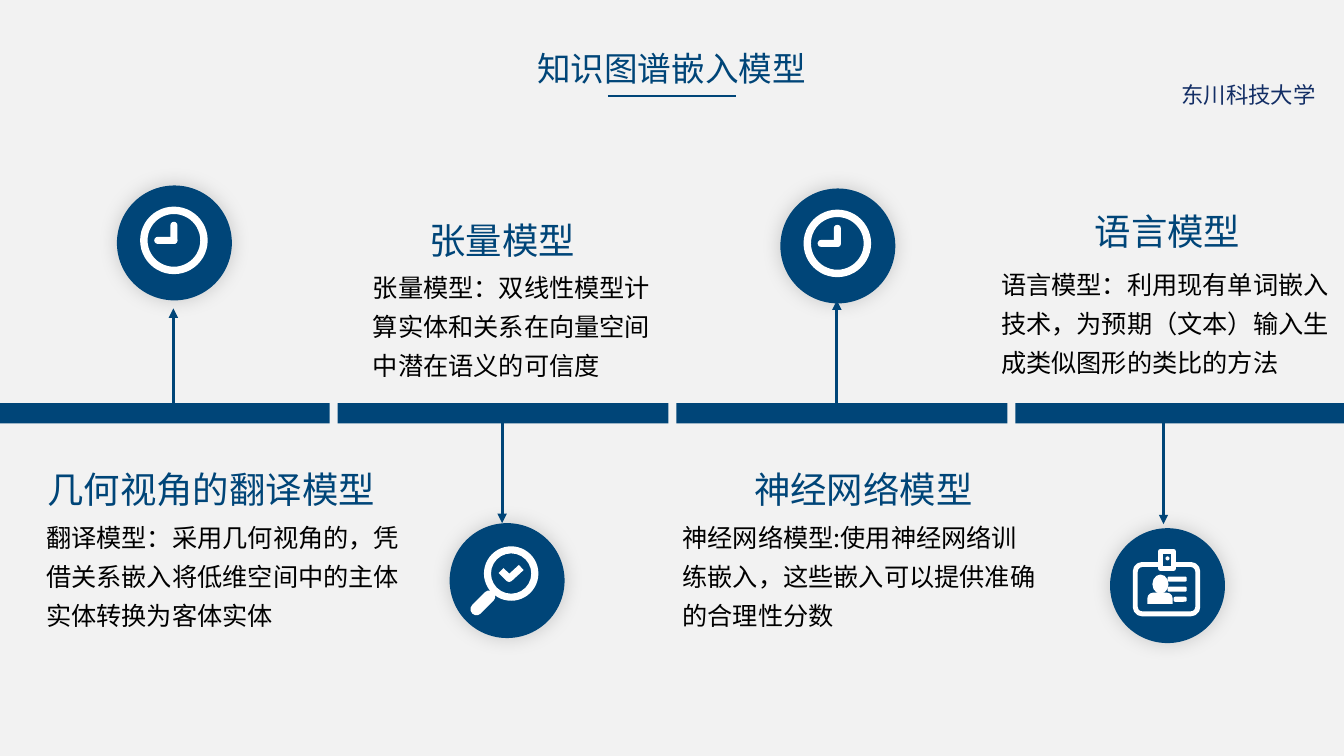
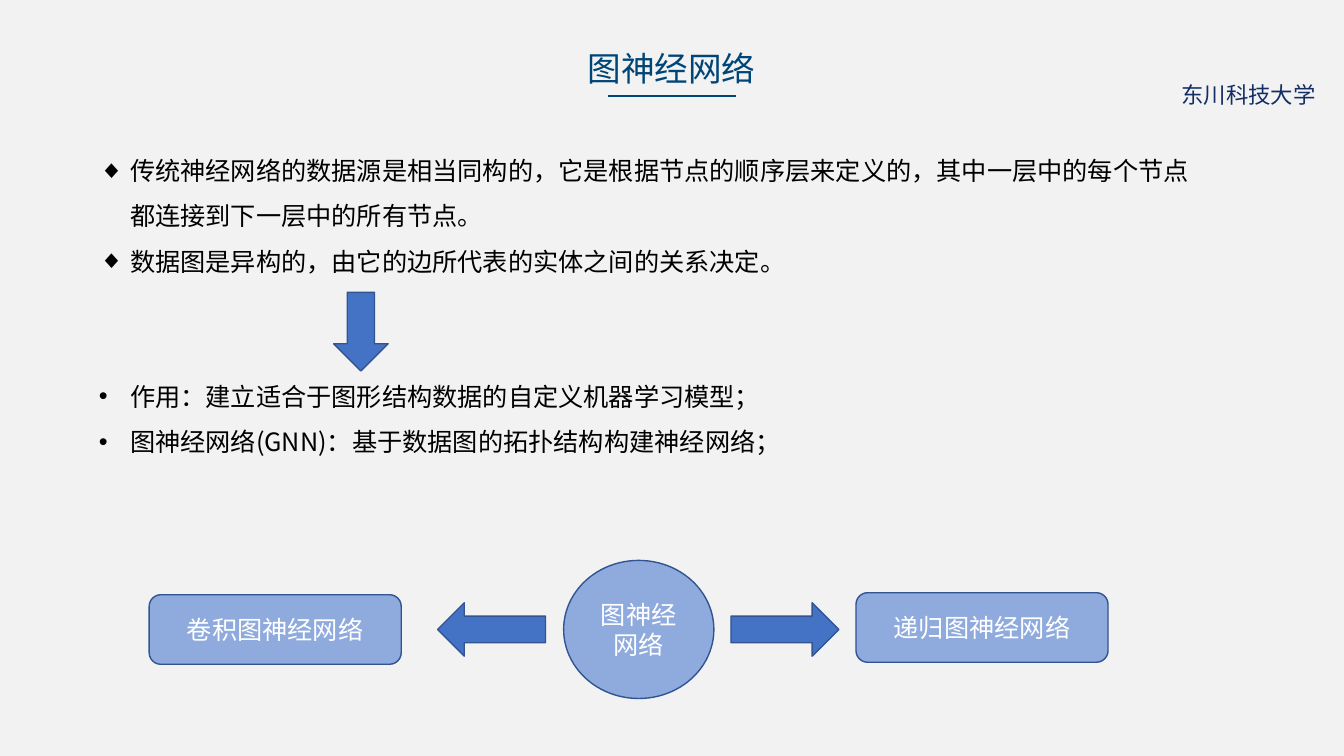
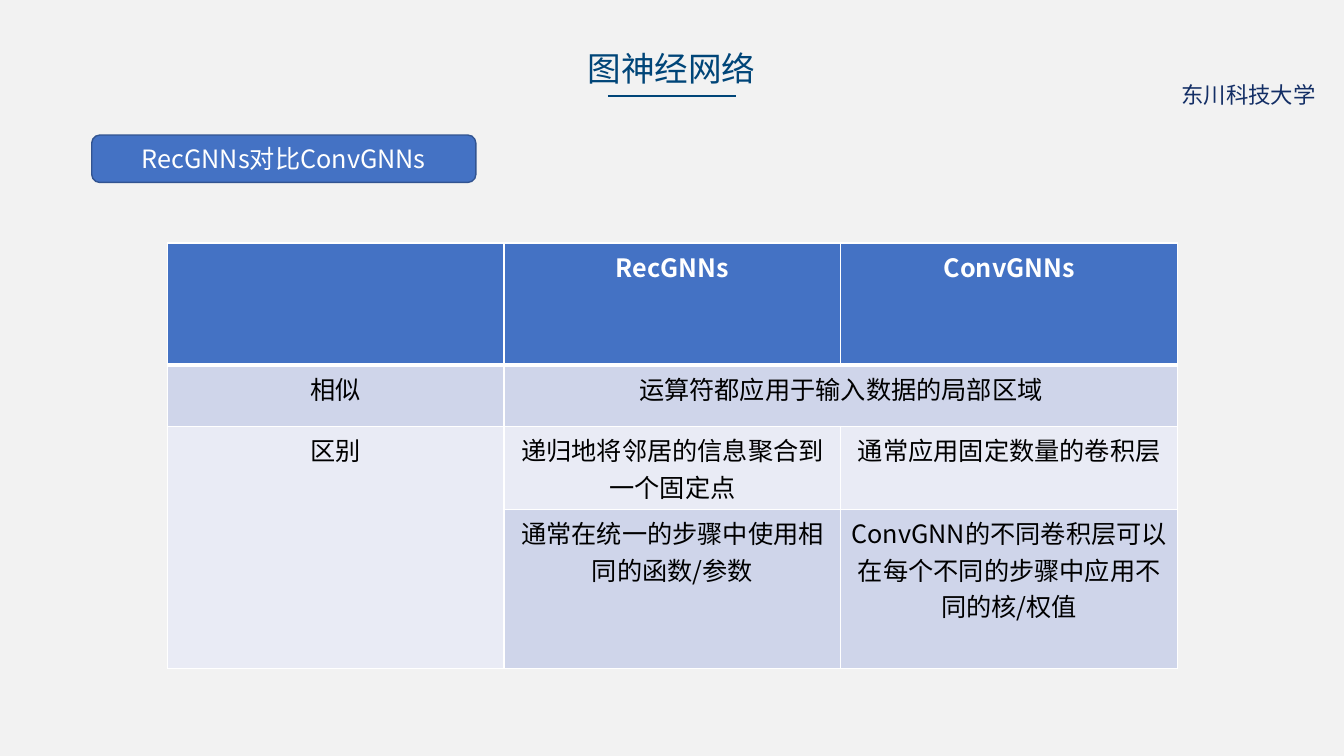
"""Build three slides on knowledge graph embedding and graph neural networks."""
from lxml import etree
from pptx import Presentation
from pptx.dml.color import RGBColor
from pptx.enum.shapes import MSO_CONNECTOR, MSO_SHAPE
from pptx.enum.text import MSO_ANCHOR, MSO_AUTO_SIZE, PP_ALIGN
from pptx.oxml.ns import qn
from pptx.util import Inches, Pt

OVAL, RECT, ROUND = MSO_SHAPE.OVAL, MSO_SHAPE.RECTANGLE, MSO_SHAPE.ROUNDED_RECTANGLE
RING, BUST = MSO_SHAPE.DONUT, MSO_SHAPE.ROUND_2_SAME_RECTANGLE
DOWN, LEFT, RIGHT = MSO_SHAPE.DOWN_ARROW, MSO_SHAPE.LEFT_ARROW, MSO_SHAPE.RIGHT_ARROW
STRAIGHT = MSO_CONNECTOR.STRAIGHT
START, MID = PP_ALIGN.LEFT, PP_ALIGN.CENTER
TOP, MIDDLE = MSO_ANCHOR.TOP, MSO_ANCHOR.MIDDLE
FIXED = MSO_AUTO_SIZE.NONE

NAVY = RGBColor(0x00, 0x45, 0x78)
INK = RGBColor(0x13, 0x2E, 0x65)
PAPER = RGBColor(0xF2, 0xF2, 0xF2)
WHITE = RGBColor(0xFF, 0xFF, 0xFF)
BLACK = RGBColor(0x00, 0x00, 0x00)
BLUE = RGBColor(0x44, 0x72, 0xC4)
PALE = RGBColor(0x8F, 0xAA, 0xDC)
EDGE = RGBColor(0x32, 0x54, 0x91)
BAND = RGBColor(0xCF, 0xD5, 0xEA)
LIGHT = RGBColor(0xE9, 0xEB, 0xF5)

FONT = "Noto Sans CJK SC"
SCHOOL = "东川科技大学"
FRAME = {"word_wrap": True, "auto_size": FIXED, "vertical_anchor": TOP}
HEAD = {"size": 26, "color": NAVY, "line_spacing": 1.3}
NOTE = {"size": 18, "color": BLACK, "line_spacing": 1.3}
LIST = {"size": 18, "color": BLACK, "line_spacing": 1.5}
LABEL = {"size": 18, "color": WHITE, "alignment": MID}


def put(item, vals):
    """Set every attribute in vals on item."""
    for key, val in vals.items():
        setattr(item, key, val)


def sub(node, tag, **vals):
    """Add a child element with attributes."""
    return etree.SubElement(node, qn(tag), vals)


def area(at):
    """Turn inch numbers into lengths."""
    return [Inches(n) for n in at]


def write(frame, lines, size, color, bold=False, **para):
    """Fill a text frame with one formatted paragraph per line."""
    for i, line in enumerate(lines):
        par = frame.paragraphs[0] if i == 0 else frame.add_paragraph()
        put(par, {"space_before": Pt(0), **para})
        run = par.add_run()
        run.text = line
        put(run.font, {"name": FONT, "size": Pt(size), "bold": bold})
        run.font.color.rgb = color
        sub(run.font._element, "a:ea", typeface=FONT)


def label(slide, at, line, **style):
    """Add a text box."""
    frame = slide.shapes.add_textbox(*area(at)).text_frame
    put(frame, FRAME)
    write(frame, [line], **style)


def fit(holder, at, lines, **style):
    """Move a placeholder and fill it."""
    put(holder, dict(zip(("left", "top", "width", "height"), area(at))))
    put(holder.text_frame, FRAME)
    write(holder.text_frame, lines, **style)


def stroke(item, color, width):
    """Set the outline of a shape."""
    item.line.color.rgb = color
    item.line.width = Pt(width)


def shape(host, kind, at, fill, edge=None, width=1, adj=None, text=None):
    """Add a preset shape, with a centred label if given."""
    item = host.add_shape(kind, *area(at))
    item.shadow.inherit = False
    item.fill.solid()
    item.fill.fore_color.rgb = fill
    if edge is None:
        item.line.fill.background()
    else:
        stroke(item, edge, width)
    if adj is not None:
        item.adjustments[0] = adj
    if text:
        put(item.text_frame, {**FRAME, "vertical_anchor": MIDDLE})
        write(item.text_frame, [text], **LABEL)
    return item


def rule(slide, start, end, width, arrow=False):
    """Add a straight line, with an arrowhead if wanted."""
    item = slide.shapes.add_connector(STRAIGHT, *area(start + end))
    stroke(item, NAVY, width)
    if arrow:
        sub(item.line._get_or_add_ln(), "a:tailEnd", type="triangle")
    sub(item._element.spPr, "a:effectLst")


def bullets(slide, index, at, lines, mark):
    """Fill a body placeholder with a bulleted list."""
    holder = slide.placeholders[index]
    fit(holder, at, lines, **LIST)
    for par in holder.text_frame.paragraphs:
        props = par._p.get_or_add_pPr()
        props.set("marL", str(Inches(0.31)))
        props.set("indent", str(Inches(-0.31)))
        sub(props, "a:buChar", char=mark)


def disc(slide, x, y):
    """Add a group with a softly shadowed disc and return its shapes."""
    host = slide.shapes.add_group_shape().shapes
    item = shape(host, OVAL, (x, y, 1.14, 1.14), NAVY)
    glow = sub(item._element.spPr.find(qn("a:effectLst")), "a:outerShdw",
               blurRad=str(Pt(14)), dist="0", dir="2700000", algn="ctr", rotWithShape="0")
    sub(sub(glow, "a:srgbClr", val=str(BLACK)), "a:alpha", val="17000")
    return host


def clock(slide, x, y):
    """Draw a clock icon."""
    host = disc(slide, x, y)
    shape(host, RING, (x + 0.23, y + 0.21, 0.67, 0.67), WHITE, adj=0.11)
    shape(host, ROUND, (x + 0.53, y + 0.36, 0.07, 0.22), WHITE, adj=0.5)
    shape(host, ROUND, (x + 0.37, y + 0.51, 0.23, 0.07), WHITE, adj=0.5)


def lens(slide, x, y):
    """Draw a magnifier icon with a tick."""
    host = disc(slide, x, y)
    shape(host, RING, (x + 0.34, y + 0.23, 0.54, 0.54), WHITE, adj=0.13)
    shape(host, ROUND, (x + 0.18, y + 0.73, 0.3, 0.12), WHITE, adj=0.5).rotation = -45
    dots = [area((x + dx, y + dy)) for dx, dy in ((0.51, 0.47), (0.59, 0.55), (0.71, 0.44))]
    form = host.build_freeform(*dots[0])
    form.add_line_segments(dots[1:], close=False)
    tick = form.convert_to_shape()
    tick.shadow.inherit = False
    tick.fill.background()
    stroke(tick, WHITE, 5)


def badge(slide, x, y):
    """Draw an identity card icon."""
    host = disc(slide, x, y)
    shape(host, ROUND, (x + 0.25, y + 0.36, 0.62, 0.49), NAVY, WHITE, 3.5, 0.14)
    shape(host, RECT, (x + 0.5, y + 0.23, 0.13, 0.17), NAVY, WHITE, 3.5)
    shape(host, OVAL, (x + 0.55, y + 0.28, 0.04, 0.04), WHITE)
    shape(host, OVAL, (x + 0.42, y + 0.46, 0.16, 0.19), WHITE)
    shape(host, BUST, (x + 0.37, y + 0.64, 0.25, 0.11), WHITE, adj=0.5)
    for i, left in enumerate((0.57, 0.57, 0.63)):
        shape(host, ROUND, (x + left, y + 0.48 + 0.1 * i, 0.76 - left, 0.05), WHITE, adj=0.3)


def page(prs, layout, title):
    """Add a slide with the shared title, underline and school name."""
    slide = prs.slides.add_slide(prs.slide_layouts[layout])
    fit(slide.shapes.title, (3.95, 0.43, 5.42, 0.5), [title],
        size=24, color=NAVY, alignment=MID)
    rule(slide, (6.03, 0.95), (7.3, 0.95), 1.5)
    label(slide, (11.62, 0.76, 1.58, 0.37), SCHOOL, size=16, color=INK)
    return slide


def models(prs):
    """Build the timeline of embedding models."""
    slide = page(prs, 5, "知识图谱嵌入模型")
    shape(slide.shapes, RECT, (0, 4, 13.33, 0.2), NAVY)
    for i in range(3):
        shape(slide.shapes, RECT, (3.27 + 3.36 * i, 3.26, 0.08, 1.68), PAPER)
    stops = (
        (clock, (1.16, 1.84), (1.72, 4.12), 3.06,
         "几何视角的翻译模型", (0.37, 4.45, 4.13, 0.62), START,
         "翻译模型：采用几何视角的，凭借关系嵌入将低维空间中的主体实体转换为客体实体",
         (0.36, 5.04, 3.73, 1.24)),
        (lens, (4.46, 5.19), (4.98, 4.12), 5.19,
         "张量模型", (2.27, 1.98, 5.42, 0.61), MID,
         "张量模型：双线性模型计算实体和关系在向量空间中潜在语义的可信度",
         (3.6, 2.56, 3.06, 1.24)),
        (clock, (7.74, 1.87), (8.3, 4.05), 2.98,
         "神经网络模型", (6.5, 4.45, 4.13, 0.61), MID,
         "神经网络模型:使用神经网络训练嵌入，这些嵌入可以提供准确的合理性分数",
         (6.67, 5.04, 3.73, 1.25)),
        (badge, (11.01, 5.24), (11.54, 4.14), 5.2,
         "语言模型", (9.92, 1.9, 3.32, 0.61), MID,
         "语言模型：利用现有单词嵌入技术，为预期（文本）输入生成类似图形的类比的方法",
         (9.83, 2.53, 3.51, 1.25)),
    )
    for icon, spot, start, end, head, top, align, note, low in stops:
        icon(slide, *spot)
        rule(slide, start, (start[0], end), 2.25, True)
        label(slide, top, head, alignment=align, **HEAD)
        label(slide, low, note, **NOTE)


def network(prs):
    """Build the overview of graph neural networks."""
    slide = page(prs, 3, "图神经网络")
    bullets(slide, 1, (0.88, 1.34, 11.06, 1.46), (
        "传统神经网络的数据源是相当同构的，它是根据节点的顺序层来定义的，"
        "其中一层中的每个节点都连接到下一层中的所有节点。",
        "数据图是异构的，由它的边所代表的实体之间的关系决定。"), "◆")
    bullets(slide, 2, (0.88, 3.58, 10.74, 1.01), (
        "作用：建立适合于图形结构数据的自定义机器学习模型；",
        "图神经网络(GNN)：基于数据图的拓扑结构构建神经网络；"), "•")
    for kind, at, fill, text in (
            (DOWN, (3.31, 2.9, 0.54, 0.78), BLUE, None),
            (LEFT, (4.34, 5.98, 1.07, 0.53), BLUE, None),
            (RIGHT, (7.25, 5.98, 1.07, 0.53), BLUE, None),
            (OVAL, (5.59, 5.56, 1.49, 1.37), PALE, "图神经网络"),
            (ROUND, (1.48, 5.9, 2.5, 0.69), PALE, "卷积图神经网络"),
            (ROUND, (8.49, 5.88, 2.5, 0.69), PALE, "递归图神经网络")):
        shape(slide.shapes, kind, at, fill, EDGE, text=text)


def border(cell, **sides):
    """Draw white cell borders with the given widths."""
    props = cell._tc.get_or_add_tcPr()
    for side, width in sides.items():
        line = sub(props, "a:ln" + side, w=str(Pt(width)))
        sub(sub(line, "a:solidFill"), "a:srgbClr", val=str(WHITE))


def compare(prs):
    """Build the comparison table."""
    slide = page(prs, 5, "图神经网络")
    shape(slide.shapes, ROUND, (0.91, 1.34, 3.81, 0.47), BLUE, EDGE,
          text="RecGNNs对比ConvGNNs")
    rows = (
        (1.21, ("", "RecGNNs", "ConvGNNs"), BLUE),
        (0.61, ("相似", "运算符都应用于输入数据的局部区域", ""), BAND),
        (0.81, ("区别", "递归地将邻居的信息聚合到一个固定点", "通常应用固定数量的卷积层"), LIGHT),
        (1.58, ("", "通常在统一的步骤中使用相同的函数/参数",
                "ConvGNN的不同卷积层可以在每个不同的步骤中应用不同的核/权值"), BAND),
    )
    table = slide.shapes.add_table(4, 3, *area((1.66, 2.41, 10.02, 4.21))).table
    for col in table.columns:
        col.width = Inches(3.34)
    for i, (high, texts, fill) in enumerate(rows):
        table.rows[i].height = Inches(high)
        for j, text in enumerate(texts):
            cell = table.cell(i, j)
            border(cell, L=1, R=1, T=3 if i == 1 else 1, B=3 if i == 0 else 1)
            cell.fill.solid()
            cell.fill.fore_color.rgb = fill
            if text:
                write(cell.text_frame, [text], 18, BLACK if i else WHITE,
                      i == 0, alignment=MID)
    table.cell(1, 1).merge(table.cell(1, 2))
    table.cell(2, 0).merge(table.cell(3, 0))


def main():
    """Build and save the presentation."""
    prs = Presentation()
    put(prs, {"slide_width": Inches(13.33), "slide_height": Inches(7.5)})
    back = prs.slide_master.background.fill
    back.solid()
    back.fore_color.rgb = PAPER
    for build in (models, network, compare):
        build(prs)
    prs.save("out.pptx")


if __name__ == "__main__":
    main()
